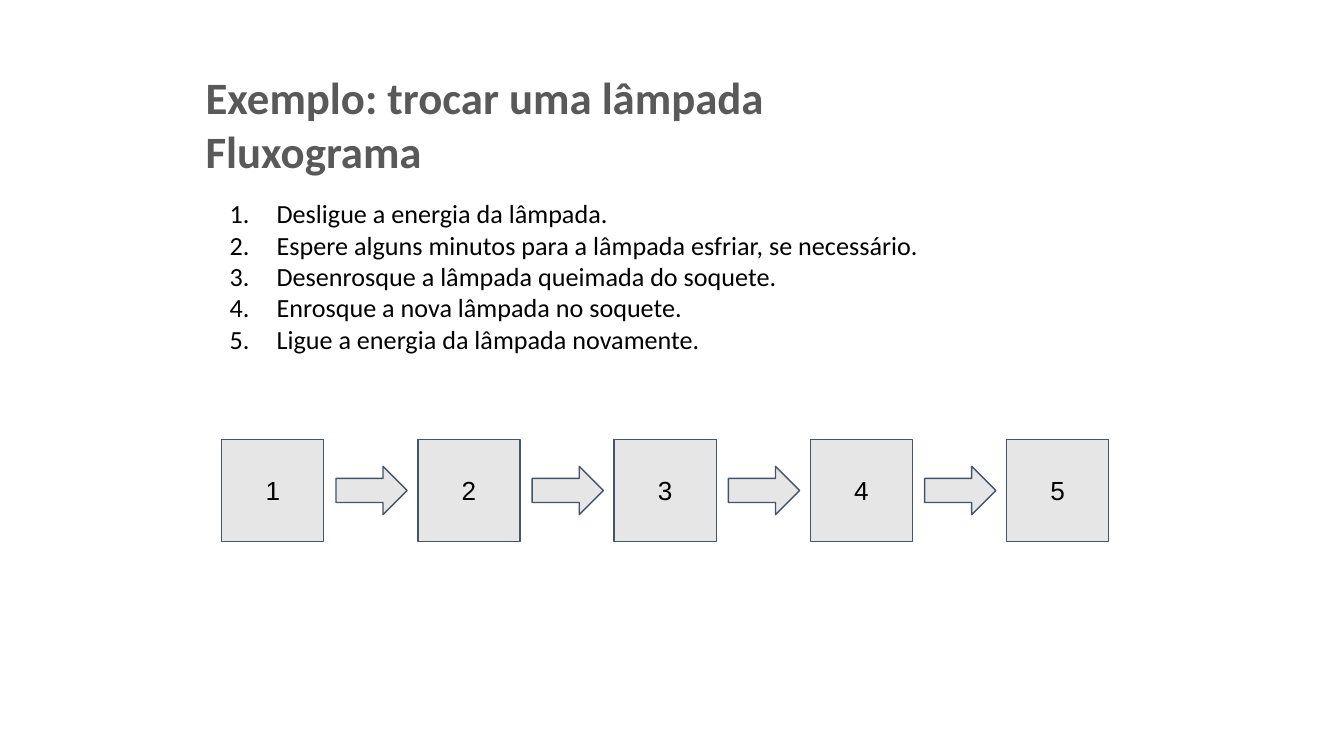
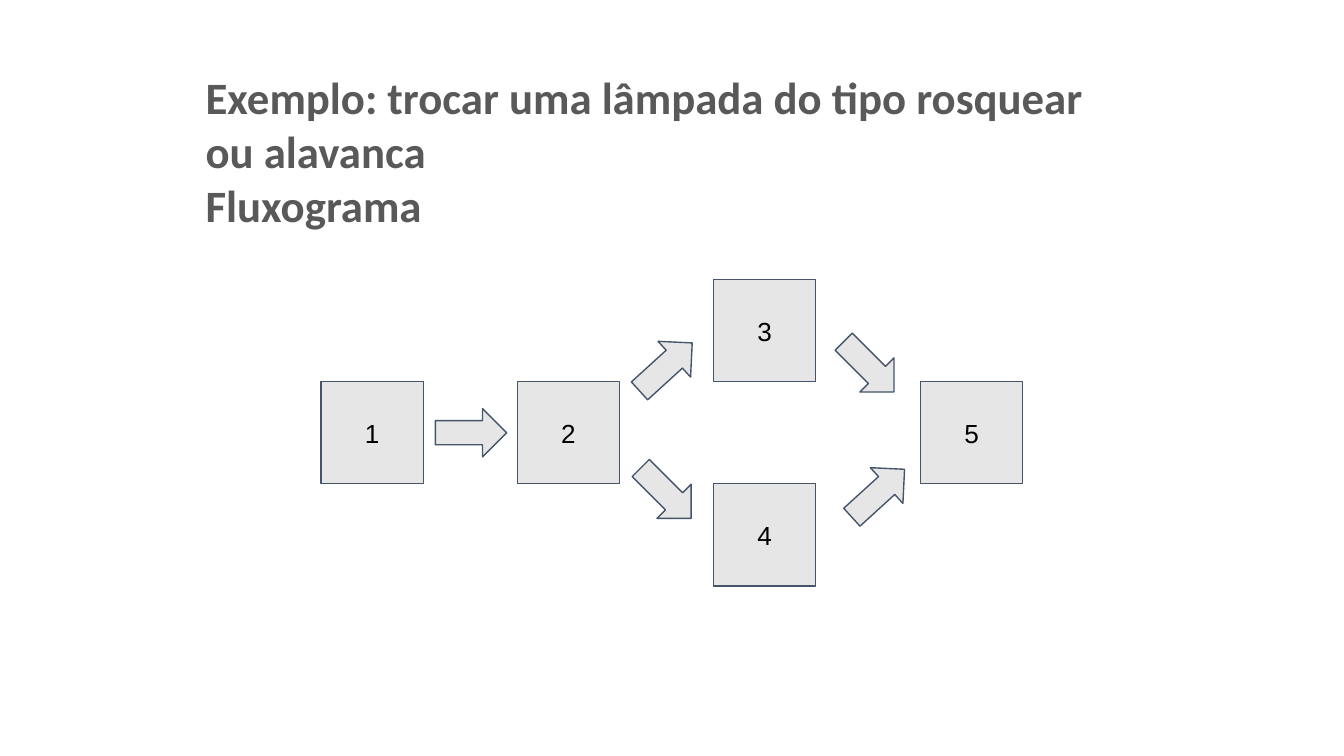
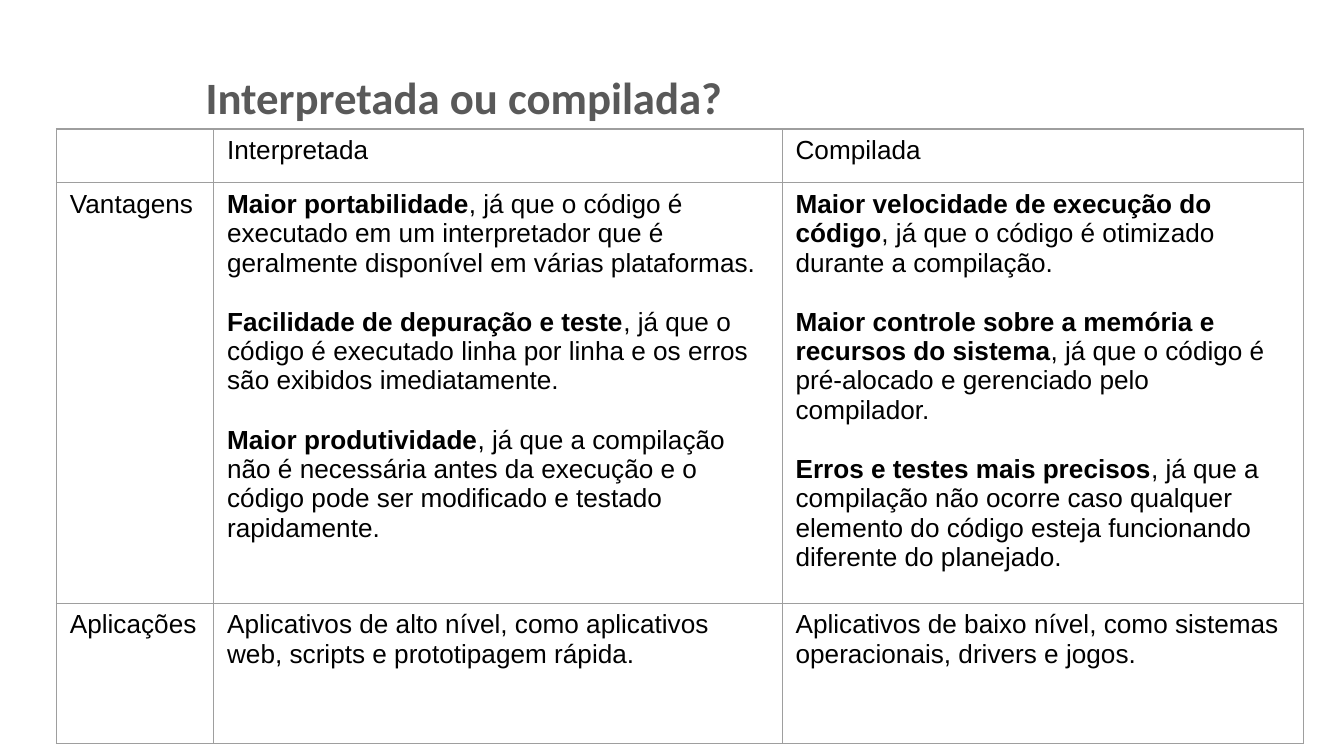
from dataclasses import dataclass

from lxml import etree
from pptx import Presentation
from pptx import util as u
from pptx.dml import color
from pptx.enum import shapes, text
from pptx.oxml import ns

HUES = {
    "title": "595959",
    "ink": "000000",
    "fill": "E7E6E6",
    "edge": "44546A",
    "grid": "9E9E9E",
}
SIDE = 0.76
STEP = 1.46
DROP = 0.2
REACH = 0.85
RISE = 317.7
FALL = 45

STEPS = [
    "Desligue a energia da lâmpada.",
    "Espere alguns minutos para a lâmpada esfriar, se necessário.",
    "Desenrosque a lâmpada queimada do soquete.",
    "Enrosque a nova lâmpada no soquete.",
    "Ligue a energia da lâmpada novamente.",
]

ROWS = [
    [[], [("", "Interpretada")], [("", "Compilada")]],
    [
        [("", "Vantagens")],
        [
            ("Maior portabilidade", ", já que o código é executado em um interpretador "
             "que é geralmente disponível em várias plataformas."),
            ("Facilidade de depuração e teste", ", já que o código é executado linha por "
             "linha e os erros são exibidos imediatamente."),
            ("Maior produtividade", ", já que a compilação não é necessária antes da "
             "execução e o código pode ser modificado e testado rapidamente."),
        ],
        [
            ("Maior velocidade de execução do código", ", já que o código é otimizado "
             "durante a compilação."),
            ("Maior controle sobre a memória e recursos do sistema", ", já que o código é "
             "pré-alocado e gerenciado pelo compilador."),
            ("Erros e testes mais precisos", ", já que a compilação não ocorre caso "
             "qualquer elemento do código esteja funcionando diferente do planejado."),
        ],
    ],
    [
        [("", "Aplicações")],
        [("", "Aplicativos de alto nível, como aplicativos web, scripts e "
          "prototipagem rápida.")],
        [("", "Aplicativos de baixo nível, como sistemas operacionais, drivers e jogos.")],
    ],
]


@dataclass
class Box:
    label: str
    left: float
    top: float


@dataclass
class Arrow:
    left: float
    top: float
    turn: float = 0


def rgb(name: str) -> color.RGBColor:
    return color.RGBColor.from_string(HUES[name])


def style(font, face: str, size: int, hue: str, bold: bool = False) -> None:
    font.name = face
    font.size = u.Pt(size)
    font.bold = bold
    font.color.rgb = rgb(hue)


def inset(frame, wide: float, high: float) -> None:
    frame.margin_left = frame.margin_right = u.Inches(wide)
    frame.margin_top = frame.margin_bottom = u.Inches(high)


def add_text(slide, area: tuple, lines: list, wide: float, high: float):
    frame = slide.shapes.add_textbox(*map(u.Inches, area)).text_frame
    frame.word_wrap = True
    frame.auto_size = text.MSO_AUTO_SIZE.SHAPE_TO_FIT_TEXT
    inset(frame, wide, high)
    frame.text = "\n".join(lines)
    return frame


def add_title(slide, lines: list, high: float) -> None:
    frame = add_text(slide, (1.46, 0.48, 6.98, high), lines, 0.07, 0.04)
    for para in frame.paragraphs:
        style(para.runs[0].font, "Calibri", 24, "title", True)


def add_list(slide, lines: list) -> None:
    frame = add_text(slide, (1.46, 1.37, 7.53, 1.36), lines, 0.1, 0.1)
    for para in frame.paragraphs:
        props = para._p.get_or_add_pPr()
        props.set("marL", str(u.Inches(0.5)))
        props.set("indent", str(u.Inches(-0.35)))
        tint = etree.SubElement(props, ns.qn("a:buClr"))
        etree.SubElement(tint, ns.qn("a:srgbClr"), val=HUES["ink"])
        etree.SubElement(props, ns.qn("a:buAutoNum"), type="arabicPeriod")
        style(para.runs[0].font, "Calibri", 14, "ink")


def add_form(slide, kind, area: tuple):
    form = slide.shapes.add_shape(kind, *map(u.Inches, area))
    form.shadow.inherit = False
    form.fill.solid()
    form.fill.fore_color.rgb = rgb("fill")
    form.line.color.rgb = rgb("edge")
    form.line.width = u.Pt(0.75)
    return form


def add_box(slide, box: Box) -> None:
    form = add_form(slide, shapes.MSO_SHAPE.RECTANGLE, (box.left, box.top, SIDE, SIDE))
    frame = form.text_frame
    inset(frame, 0.1, 0.1)
    frame.vertical_anchor = text.MSO_ANCHOR.MIDDLE
    frame.text = box.label
    para = frame.paragraphs[0]
    para.alignment = text.PP_ALIGN.CENTER
    style(para.runs[0].font, "Arial", 14, "ink")


def add_arrow(slide, arrow: Arrow) -> None:
    area = (arrow.left, arrow.top, 0.53, 0.36)
    add_form(slide, shapes.MSO_SHAPE.RIGHT_ARROW, area).rotation = arrow.turn


def add_flow(slide, boxes: list, arrows: list) -> None:
    for box in boxes:
        add_box(slide, box)
    for arrow in arrows:
        add_arrow(slide, arrow)


def add_edges(cell) -> None:
    props = cell._tc.get_or_add_tcPr()
    for spot, tag in enumerate(("a:lnL", "a:lnR", "a:lnT", "a:lnB")):
        line = etree.Element(ns.qn(tag), w=str(u.Pt(0.75)))
        fill = etree.SubElement(line, ns.qn("a:solidFill"))
        etree.SubElement(fill, ns.qn("a:srgbClr"), val=HUES["grid"])
        props.insert(spot, line)


def fill_cell(cell, items: list) -> None:
    cell.fill.background()
    inset(cell, 0.1, 0.05)
    add_edges(cell)
    frame = cell.text_frame
    for spot, item in enumerate(items):
        para = frame.add_paragraph() if spot else frame.paragraphs[0]
        if spot:
            para.space_before = u.Pt(16)
        for part, bold in zip(item, (True, False)):
            if part:
                run = para.add_run()
                run.text = part
                style(run.font, "Arial", 14, "ink", bold)


def add_grid(slide) -> None:
    area = map(u.Inches, (0.42, 0.96, 9.28, 4.86))
    holder = slide.shapes.add_table(3, 3, *area)
    table = holder.table
    table.first_row = table.horz_banding = False
    for col, wide in zip(table.columns, (1.17, 4.23, 3.88)):
        col.width = u.Inches(wide)
    for row, high, cells in zip(table.rows, (0.4, 3.13, 1.04), ROWS):
        row.height = u.Inches(high)
        for cell, items in zip(row.cells, cells):
            fill_cell(cell, items)
    holder.height = u.Inches(4.86)


def main() -> None:
    deck = Presentation()
    deck.slide_width = u.Inches(10)
    deck.slide_height = deck.slide_width * 9 // 16
    line, fork, grid = [deck.slides.add_slide(deck.slide_layouts[6]) for _ in range(3)]

    add_title(line, ["Exemplo: trocar uma lâmpada", "Fluxograma"], 0.87)
    add_list(line, STEPS)
    left, top = 1.65, 3.27
    boxes = [Box(str(i + 1), left + STEP * i, top) for i in range(5)]
    arrows = [Arrow(box.left + REACH, top + DROP) for box in boxes[:-1]]
    add_flow(line, boxes, arrows)

    add_title(fork, ["Exemplo: trocar uma lâmpada do tipo rosquear ou alavanca",
                     "Fluxograma"], 1.27)
    left, mid = 2.39, 2.84
    boxes = [
        Box("1", left, mid),
        Box("2", left + STEP, mid),
        Box("3", left + 2 * STEP, mid - SIDE),
        Box("4", left + 2 * STEP, mid + SIDE),
        Box("5", 6.85, mid),
    ]
    high, low = 2.55, 3.49
    arrows = [
        Arrow(left + REACH, mid + DROP),
        Arrow(4.69, high, RISE),
        Arrow(4.69, low, FALL),
        Arrow(6.2, high, FALL),
        Arrow(6.27, low, RISE),
    ]
    add_flow(fork, boxes, arrows)

    add_title(grid, ["Interpretada ou compilada?"], 0.47)
    add_grid(grid)
    deck.save("out.pptx")


if __name__ == "__main__":
    main()
